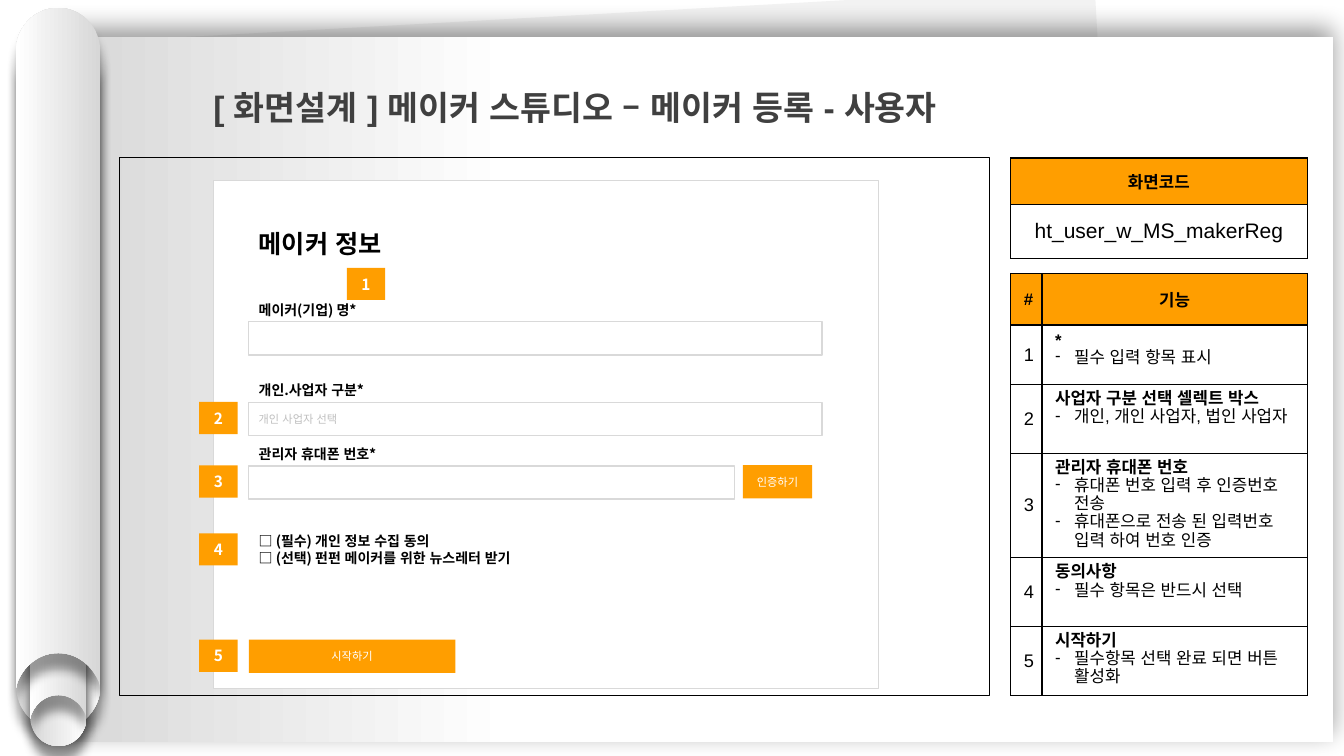
from lxml.etree import SubElement
from pptx import Presentation
from pptx.dml.color import RGBColor
from pptx.enum.lang import MSO_LANGUAGE_ID as Language
from pptx.enum.shapes import MSO_SHAPE
from pptx.enum.text import MSO_ANCHOR as Anchor, PP_ALIGN as Align
from pptx.oxml.ns import qn
from pptx.util import Cm, Pt

ARIAL, NOTO = "Arial", "Noto Sans CJK KR"
ORANGE, BLACK, WHITE, GREY = "FF9E00", "000000", "FFFFFF", "D9D9D9"

TITLE = "[ 화면설계 ] 메이커 스튜디오 – 메이커 등록 - 사용자"
SCREEN_CODE = ["화면코드", "ht_user_w_MS_makerReg"]
FEATURES = [
    ("*", ["필수 입력 항목 표시"]),
    ("사업자 구분 선택 셀렉트 박스", ["개인, 개인 사업자, 법인 사업자"]),
    ("관리자 휴대폰 번호", ["휴대폰 번호 입력 후 인증번호 전송",
                    "휴대폰으로 전송 된 입력번호 입력 하여 번호 인증"]),
    ("동의사항", ["필수 항목은 반드시 선택"]),
    ("시작하기", ["필수항목 선택 완료 되면 버튼 활성화"]),
]
FEATURE_ROWS = [1.3, 1.5, 1.73, 1.73, 1.73, 1.73]
HEADING = "메이커 정보"
CONSENTS = ["□ (필수) 개인 정보 수집 동의", "□ (선택) 펀펀 메이커를 위한 뉴스레터 받기"]
# label, top, field width, hint
FIELDS = [
    ("메이커(기업) 명*", 7.5, 14.45, ""),
    ("개인.사업자 구분*", 9.53, 14.45, "개인 사업자 선택"),
    ("관리자 휴대폰 번호*", 11.13, 12.24, ""),
]
# text, left, top, width
BUTTONS = [("인증하기", 18.72, 11.72, 1.75), ("시작하기", 6.27, 16.12, 5.21)]
BADGES = [(8.74, 6.75), (5.02, 10.13), (5.02, 11.73), (5.02, 13.44), (5.02, 16.12)]
# left, top, width, height, rotation
ROLLS = [
    (0.4, 1.22, 2.13, 17.15, 180),
    (0.76, 7.32, 1.42, 11.48, 180),
    (0.76, 6.63, 1.42, 11.48, 0),
    (0.4, 0.2, 2.13, 17.15, 0),
]
FORM_LEFT, LABEL_HEIGHT, FIELD_HEIGHT = 6.27, 0.61, 0.84
TABLE_LEFT = 25.47


def color(code):
    return RGBColor.from_string(code)


def add_text(para, text, size, font, code, bold=False, align=Align.LEFT):
    para.alignment = align
    span = para.add_run()
    span.text = text
    span.font.size, span.font.name, span.font.bold = Pt(size), font, bold
    span.font.language_id = Language.KOREAN
    span.font.color.rgb = color(code)


def add_box(left, top, width, height, fill=None, line=None, weight=1.0):
    box = page.shapes.add_shape(MSO_SHAPE.RECTANGLE, Cm(left), Cm(top), Cm(width), Cm(height))
    paint(box, fill, line, weight)
    return box


def paint(shape, fill, line=None, weight=1.0):
    shape.shadow.inherit = False
    if fill:
        shape.fill.solid()
        shape.fill.fore_color.rgb = color(fill)
    else:
        shape.fill.background()
    if line:
        shape.line.color.rgb = color(line)
        shape.line.width = Pt(weight)
    else:
        shape.line.fill.background()


def write_box(box, lines, *style):
    frame = box.text_frame
    frame.word_wrap = True
    frame.vertical_anchor = Anchor.MIDDLE
    for i, text in enumerate(lines):
        para = frame.add_paragraph() if i else frame.paragraphs[0]
        add_text(para, text, *style)


def add_gradient(shape, *stops):
    shape.fill.gradient()
    shape.fill.gradient_angle = 180
    for stop, (position, code) in zip(shape.fill.gradient_stops, stops):
        stop.position = position
        stop.color.rgb = color(code)


def add_shadow(shape, blur, distance, degrees):
    effects = shape._element.spPr.find(qn("a:effectLst"))
    outer = SubElement(effects, qn("a:outerShdw"), blurRad=str(Pt(blur)), dist=str(Pt(distance)),
                       dir=str(degrees * 60000), algn="ctr", rotWithShape="0")
    tint = SubElement(outer, qn("a:srgbClr"), val=BLACK)
    SubElement(tint, qn("a:alpha"), val="40000")


def add_roll(left, top, width, height, rotation):
    """Paper roll with a rounded top and a concave bottom edge."""
    tall = height / width
    low, dip = tall - 0.08, tall - 0.42
    steps = [
        ("moveTo", [(0.5, 0)]),
        ("cubicBezTo", [(0.78, 0), (1, 0.23), (1, 0.52)]),
        ("lnTo", [(1, tall)]),
        ("lnTo", [(0.98, low)]),
        ("cubicBezTo", [(0.89, tall - 0.29), (0.71, dip), (0.5, dip)]),
        ("cubicBezTo", [(0.29, dip), (0.11, tall - 0.29), (0.02, low)]),
        ("lnTo", [(0, tall)]),
        ("lnTo", [(0, 0.52)]),
        ("cubicBezTo", [(0, 0.23), (0.22, 0), (0.5, 0)]),
        ("close", []),
    ]
    corners = [(Cm(left + points[-1][0] * width), Cm(top + points[-1][1] * width))
               for _, points in steps if points]
    builder = page.shapes.build_freeform(*corners[0])
    builder.add_line_segments(corners[1:])
    roll = builder.convert_to_shape()
    outline = next(roll._element.iter(qn("a:path")))
    for child in list(outline):
        outline.remove(child)
    for name, points in steps:
        step = SubElement(outline, qn("a:" + name))
        for x, y in points:
            SubElement(step, qn("a:pt"), x=str(Cm(x * width)), y=str(Cm(y * width)))
    paint(roll, WHITE)
    add_gradient(roll, (0, "D7D7D7"), (1, WHITE))
    add_shadow(roll, 7, 11, 90)
    roll.rotation = rotation


def add_grid(top, widths, heights):
    shape = page.shapes.add_table(len(heights), len(widths), Cm(TABLE_LEFT), Cm(top),
                                  Cm(sum(widths)), Cm(sum(heights)))
    grid = shape.table
    grid.first_row = grid.horz_banding = False
    for column, width in zip(grid.columns, widths):
        column.width = Cm(width)
    for row, height in zip(grid.rows, heights):
        row.height = Cm(height)
    for i, cell in enumerate(grid.iter_cells()):
        cell.margin_left = cell.margin_right = Cm(0.33)
        cell.margin_top = cell.margin_bottom = Cm(0.17)
        cell.vertical_anchor = Anchor.MIDDLE
        for side in ("lnL", "lnR", "lnT", "lnB"):
            edge = SubElement(cell._tc.get_or_add_tcPr(), qn("a:" + side), w=str(Pt(1)))
            SubElement(SubElement(edge, qn("a:solidFill")), qn("a:srgbClr"), val=BLACK)
        if i < len(widths):
            cell.fill.solid()
            cell.fill.fore_color.rgb = color(ORANGE)
        else:
            cell.fill.background()
    return grid


def write_cell(cell, text, size, bold=False):
    add_text(cell.text_frame.paragraphs[0], text, size, ARIAL, BLACK, bold, Align.CENTER)


def write_feature(cell, name, details):
    cell.vertical_anchor = Anchor.TOP
    frame = cell.text_frame
    for i, text in enumerate([name, *details]):
        para = frame.add_paragraph() if i else frame.paragraphs[0]
        para.line_spacing = Pt(13)
        if i:
            props = para._p.get_or_add_pPr()
            props.set("marL", str(Cm(0.48)))
            props.set("indent", str(-Cm(0.48)))
            SubElement(props, qn("a:buFont"), typeface=ARIAL)
            SubElement(props, qn("a:buChar"), char="-")
        add_text(para, text, 12, ARIAL, BLACK, bold=not i)


deck = Presentation()
deck.slide_width, deck.slide_height = Cm(33.87), Cm(19.05)
page = deck.slides.add_slide(deck.slide_layouts[6])

# Paper scroll
add_box(2.31, 0.36, 25.78, 17.27, "F2F2F2").rotation = 356.8
sheet = add_box(1.32, 0.94, 32.28, 17.75, WHITE)
add_gradient(sheet, (0.64, WHITE), (1, "D7D7D7"))
add_shadow(sheet, 18, 6, 270)
for roll_place in ROLLS:
    add_roll(*roll_place)

title = page.shapes.add_textbox(Cm(5.13), Cm(1.55), Cm(24.41), Cm(1.8))
title.text_frame.word_wrap = True
title.text_frame.paragraphs[0].line_spacing = 1.5
add_text(title.text_frame.paragraphs[0], TITLE, 24, ARIAL, "404040", True)

# Form mock-up
add_box(3.01, 3.98, 21.92, 13.54, None, BLACK, 0.75)
add_box(5.38, 4.55, 16.76, 12.8, WHITE, GREY)
write_box(add_box(FORM_LEFT, 5.74, 4.98, 0.79, WHITE), [HEADING], 18, NOTO, BLACK, True)
for label, top, width, hint in FIELDS:
    write_box(add_box(FORM_LEFT, top, 5.92, LABEL_HEIGHT, WHITE), [label], 10, NOTO, BLACK, True)
    field = add_box(FORM_LEFT, top + LABEL_HEIGHT, width, FIELD_HEIGHT, WHITE, GREY)
    if hint:
        write_box(field, [hint], 8, NOTO, "BFBFBF")
write_box(add_box(FORM_LEFT, 13.31, 7.7, 1.09, WHITE), CONSENTS, 10, NOTO, BLACK, True)
for text, left, top, width in BUTTONS:
    write_box(add_box(left, top, width, FIELD_HEIGHT, ORANGE), [text], 8, NOTO, WHITE, False, Align.CENTER)
for number, (left, top) in enumerate(BADGES, 1):
    write_box(add_box(left, top, 0.97, 0.81, ORANGE), [str(number)], 11, NOTO, WHITE, True, Align.CENTER)

# Tables
code_table = add_grid(3.98, [7.47], [1.17, 1.36])
write_cell(code_table.cell(0, 0), SCREEN_CODE[0], 12, True)
write_cell(code_table.cell(1, 0), SCREEN_CODE[1], 15)
feature_table = add_grid(6.89, [0.79, 6.68], FEATURE_ROWS)
for column, text in enumerate(["#", "기능"]):
    write_cell(feature_table.cell(0, column), text, 12, True)
for number, (name, details) in enumerate(FEATURES, 1):
    write_cell(feature_table.cell(number, 0), str(number), 13)
    write_feature(feature_table.cell(number, 1), name, details)

deck.save("out.pptx")
